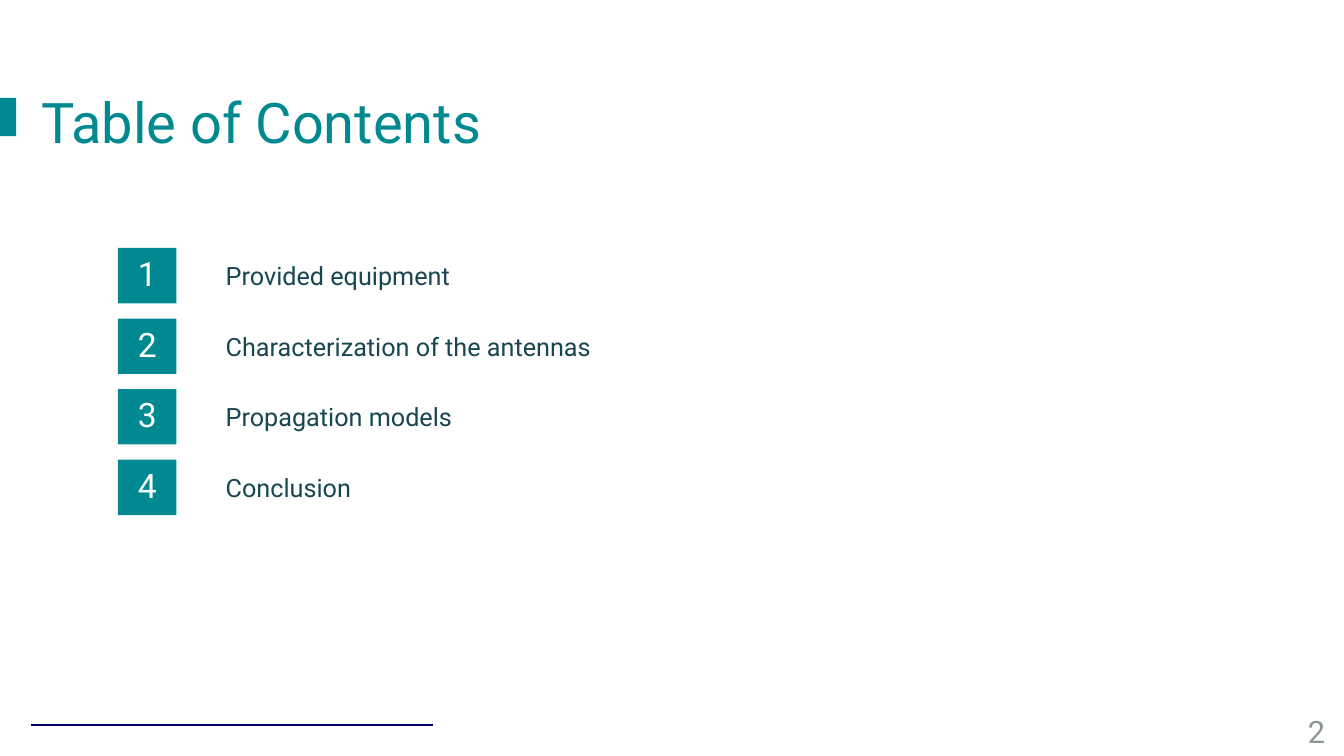
"""Build a table of contents slide with numbered teal tiles."""
from pptx import Presentation
from pptx.dml.color import RGBColor
from pptx.enum import shapes, text
from pptx.oxml.ns import qn
from pptx.util import Inches, Pt
from lxml import etree

TITLE = "Table of Contents"
TOPICS = [
    "Provided equipment",
    "Characterization of the antennas",
    "Propagation models",
    "Conclusion",
]
PAGE = "2"

TEAL = RGBColor(0x00, 0x89, 0x90)
INK = RGBColor(0x18, 0x46, 0x52)
GREY = RGBColor(0x8C, 0x94, 0x98)
NAVY = RGBColor(0x00, 0x00, 0x66)
WHITE = RGBColor(0xFF, 0xFF, 0xFF)
FONT = "Roboto"

WIDTH, HEIGHT = 13.33, 7.5
MARGIN, RIGHT = 0.31, 12.52
TILE_LEFT, TILE_W, TILE_H = 1.17, 0.58, 0.55
TOPIC_LEFT, TOPIC_H = 2.14, 0.4
FIRST_ROW, ROW_STEP = 2.46, 0.7
RULE_Y, RULE_END = 7.19, 4.29


def write(sp, words, size, color, align=text.PP_ALIGN.LEFT, anchor=text.MSO_ANCHOR.TOP):
    tf = sp.text_frame
    tf.word_wrap = True
    tf.vertical_anchor = anchor
    p = tf.paragraphs[0]
    p.text = words
    p.alignment = align
    p.font.name, p.font.size = FONT, Pt(size)
    p.font.color.rgb = color
    return p


def add_label(s, box, *args):
    return write(s.shapes.add_textbox(*map(Inches, box)), *args)


def add_block(s, box):
    sp = s.shapes.add_shape(shapes.MSO_SHAPE.RECTANGLE, *map(Inches, box))
    sp.shadow.inherit = False
    sp.fill.solid()
    sp.fill.fore_color.rgb = TEAL
    sp.line.fill.background()
    return sp


def add_rule(s):
    points = map(Inches, (MARGIN, RULE_Y, RULE_END, RULE_Y))
    rule = s.shapes.add_connector(shapes.MSO_CONNECTOR.STRAIGHT, *points)
    rule.line.color.rgb = NAVY
    rule.line.width = Pt(1.5)
    etree.SubElement(rule._element.spPr, qn("a:effectLst"))


def main():
    prs = Presentation()
    prs.slide_width, prs.slide_height = Inches(WIDTH), Inches(HEIGHT)
    s = prs.slides.add_slide(prs.slide_layouts[6])

    add_label(s, (10.24, 7.05, 3, 0.4), PAGE, 22, GREY,
              text.PP_ALIGN.RIGHT, text.MSO_ANCHOR.MIDDLE)
    add_block(s, (0, 0.97, 0.16, 0.38))
    add_rule(s)
    add_label(s, (MARGIN, 0.82, RIGHT - MARGIN, 0.77), TITLE, 40, TEAL)

    for i, topic in enumerate(TOPICS):
        top = FIRST_ROW + i * ROW_STEP
        topic_top = top + (TILE_H - TOPIC_H) / 2
        add_label(s, (TOPIC_LEFT, topic_top, RIGHT - TOPIC_LEFT, TOPIC_H), topic, 18, INK)
        tile = add_block(s, (TILE_LEFT, top, TILE_W, TILE_H))
        p = write(tile, str(i + 1), 24, WHITE, text.PP_ALIGN.CENTER, text.MSO_ANCHOR.MIDDLE)
        p.line_spacing = 0.9
        p.space_before = Pt(10)

    prs.save("out.pptx")


if __name__ == "__main__":
    main()
